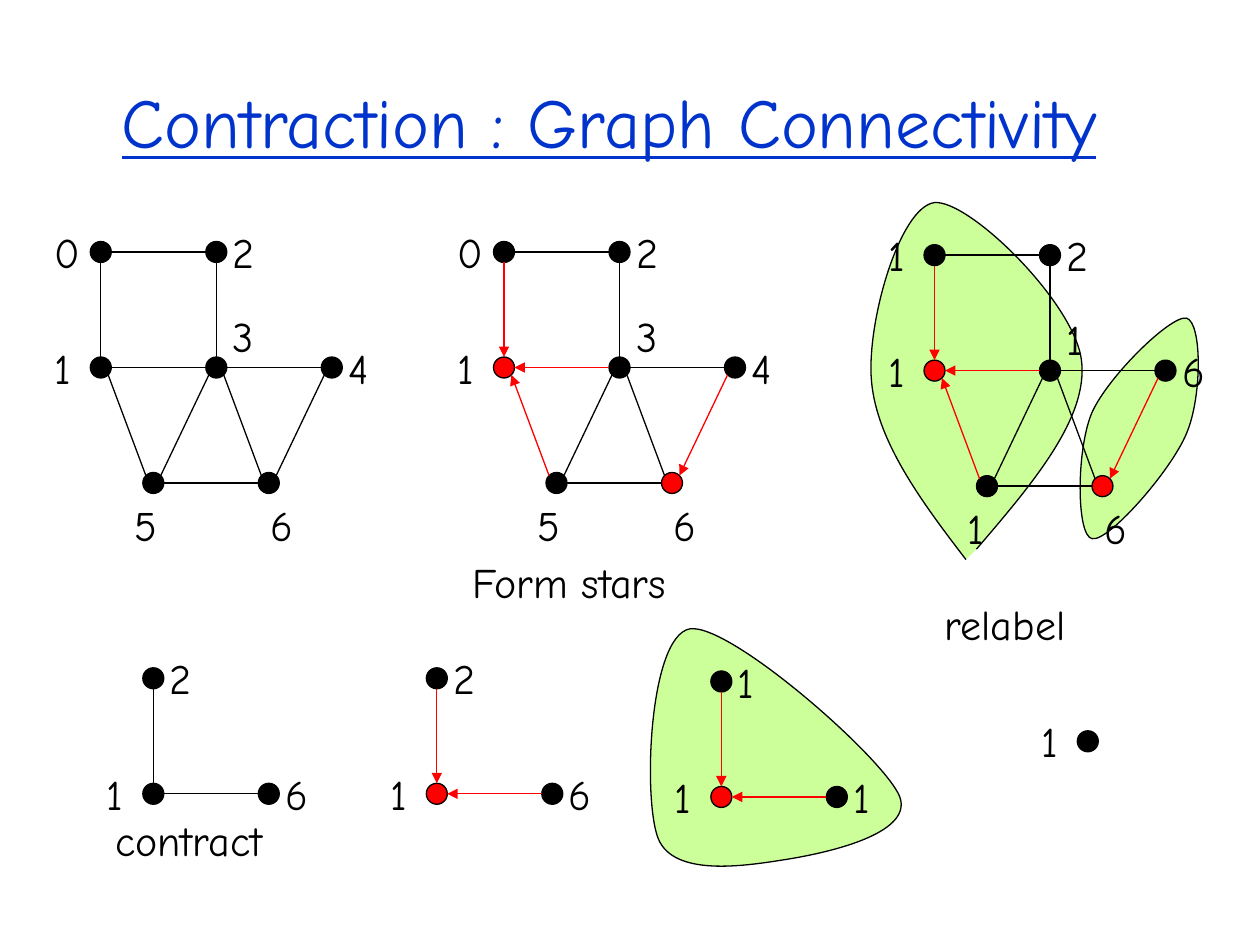
from lxml.etree import SubElement
from pptx import Presentation
from pptx.dml.color import RGBColor
from pptx.enum.shapes import MSO_CONNECTOR as Connector, MSO_SHAPE as Preset
from pptx.enum.text import MSO_ANCHOR as Anchor, MSO_AUTO_SIZE as AutoSize, PP_ALIGN as Align
from pptx.oxml.ns import qn
from pptx.util import Pt

SCALE = 7620
BLACK, RED, GREEN, BLUE = "000000", "FF0000", "CCFF99", "0033CC"

LABEL_LEFT, LABEL_RIGHT = (-56, -30), (4, -30)
FULL = {
    "0": (96, 240, LABEL_LEFT),
    "1": (96, 350, LABEL_LEFT),
    "2": (206, 240, LABEL_RIGHT),
    "3": (206, 350, (4, -60)),
    "4": (316, 350, LABEL_RIGHT),
    "5": (146, 460, (-30, 10)),
    "6": (256, 460, (-10, 10)),
}
FULL_EDGES = ["01", "23", "02", "31", "34", "56", "51", "53", "46", "63"]
FULL_STARS = ["01", "31", "51", "46"]

CONTRACTED = {
    "1": (146, 756, LABEL_LEFT),
    "2": (146, 646, LABEL_RIGHT),
    "6": (256, 756, LABEL_RIGHT),
}
CONTRACTED_EDGES = ["21", "61"]
SINGLE = {"1": (1036, 706, LABEL_LEFT)}

RIGHT_STAR = [(1040, 513), (1055, 517), (1115, 449), (1130, 413),
              (1145, 378), (1145, 307), (1130, 303),
              (1115, 300), (1055, 359), (1040, 393),
              (1025, 428), (1025, 510), (1040, 513)]
LEFT_STAR = [(930, 523), (983, 461), (1037, 398), (1030, 343),
             (1023, 288), (923, 190), (890, 193),
             (857, 197), (825, 307), (830, 363),
             (835, 420), (877, 477), (920, 533)]
FINAL_STAR = [(746, 819), (708, 825), (642, 835), (627, 799),
              (612, 762), (618, 606), (657, 599),
              (695, 593), (843, 723), (857, 759),
              (870, 795), (785, 813), (746, 819)]


def px(*lengths):
    return [round(length * SCALE) for length in lengths]


def rgb(color):
    return RGBColor.from_string(color)


def write(frame, text, size=24, color=BLACK, underline=None, align=Align.LEFT):
    paragraph = frame.paragraphs[0]
    paragraph.alignment = align
    run = paragraph.add_run()
    run.text = text
    run.font.name = "Comic Neue"
    run.font.size = Pt(size)
    run.font.color.rgb = rgb(color)
    run.font.underline = underline


class Sketch:
    line_width = Pt(0.75)
    radius = 10

    def __init__(self, slide):
        self.slide = slide
        self.canvas = slide.shapes

    def title(self, text):
        title = self.slide.shapes.title
        title.left, title.top, title.width, title.height = px(50, 60, 1060, 110)
        title.text_frame.vertical_anchor = Anchor.MIDDLE
        write(title.text_frame, text, size=40, color=BLUE, underline=True, align=Align.CENTER)

    def label(self, text, x, y, width=46):
        frame = self.canvas.add_textbox(*px(x, y, width, 60)).text_frame
        frame.word_wrap = False
        frame.auto_size = AutoSize.SHAPE_TO_FIT_TEXT
        write(frame, text)

    def paint(self, shape, fill):
        shape.shadow.inherit = False
        shape.fill.solid()
        shape.fill.fore_color.rgb = rgb(fill)
        shape.line.color.rgb = rgb(BLACK)
        shape.line.width = self.line_width

    def node(self, x, y, fill):
        r = self.radius
        self.paint(self.canvas.add_shape(Preset.OVAL, *px(x - r, y - r, 2 * r, 2 * r)), fill)

    def edge(self, start, end, directed):
        dx, dy = ((b > a) - (b < a) for a, b in zip(start, end))
        reach = self.radius / (dx * dx + dy * dy) ** 0.5
        line = self.canvas.add_connector(Connector.STRAIGHT, *px(
            start[0] + dx * reach, start[1] + dy * reach,
            end[0] - dx * reach, end[1] - dy * reach))
        line.line.color.rgb = rgb(RED if directed else BLACK)
        line.line.width = self.line_width
        properties = line.element.spPr
        if directed:
            SubElement(properties.find(qn("a:ln")), qn("a:tailEnd"), type="triangle")
        SubElement(properties, qn("a:effectLst"))

    def region(self, points):
        builder = self.canvas.build_freeform(*points[0], scale=SCALE)
        builder.add_line_segments(points[1:], close=points[0] == points[-1])
        outline = builder.convert_to_shape()
        segments = list(outline.element.iter(qn("a:lnTo")))
        for first in range(0, len(segments), 3):
            curve = segments[first].makeelement(qn("a:cubicBezTo"))
            segments[first].addprevious(curve)
            for segment in segments[first:first + 3]:
                curve.append(segment[0])
                segment.getparent().remove(segment)
        self.paint(outline, GREEN)

    def graph(self, nodes, edges=(), stars=(), labels=None, offset=(0, 0), regions=(), grouped=True):
        shapes = self.slide.shapes
        self.canvas = shapes.add_group_shape().shapes if grouped else shapes
        for points in regions:
            self.region(points)
        centers = {key: (x + offset[0], y + offset[1]) for key, (x, y, _) in nodes.items()}
        roots = {star[1] for star in stars}
        for key, center in centers.items():
            self.node(*center, RED if key in roots else BLACK)
        for edge in edges:
            self.edge(centers[edge[0]], centers[edge[1]], edge in stars)
        for key, text in zip(nodes, labels or nodes):
            x, y = centers[key]
            dx, dy = nodes[key][2]
            self.label(text, x + dx, y + dy)
        self.canvas = shapes


def main():
    deck = Presentation()
    deck.slide_width, deck.slide_height = px(1200, 900)
    sketch = Sketch(deck.slides.add_slide(deck.slide_layouts[5]))
    sketch.title("Contraction : Graph Connectivity")

    sketch.graph(FULL, FULL_EDGES, grouped=False)
    sketch.graph(FULL, FULL_EDGES, FULL_STARS, offset=(384, 0))
    sketch.graph(FULL, FULL_EDGES, FULL_STARS, labels="1121616", offset=(794, 3),
                 regions=[RIGHT_STAR, LEFT_STAR], grouped=False)

    sketch.graph(CONTRACTED, CONTRACTED_EDGES)
    sketch.graph(CONTRACTED, CONTRACTED_EDGES, CONTRACTED_EDGES, offset=(270, 0))
    sketch.graph(CONTRACTED, CONTRACTED_EDGES, CONTRACTED_EDGES, labels="111",
                 offset=(541, 3), regions=[FINAL_STAR])
    sketch.graph(SINGLE)

    sketch.label("Form stars", 438, 524, width=211)
    sketch.label("relabel", 888, 564, width=142)
    sketch.label("contract", 98, 770, width=167)
    deck.save("out.pptx")


if __name__ == "__main__":
    main()
